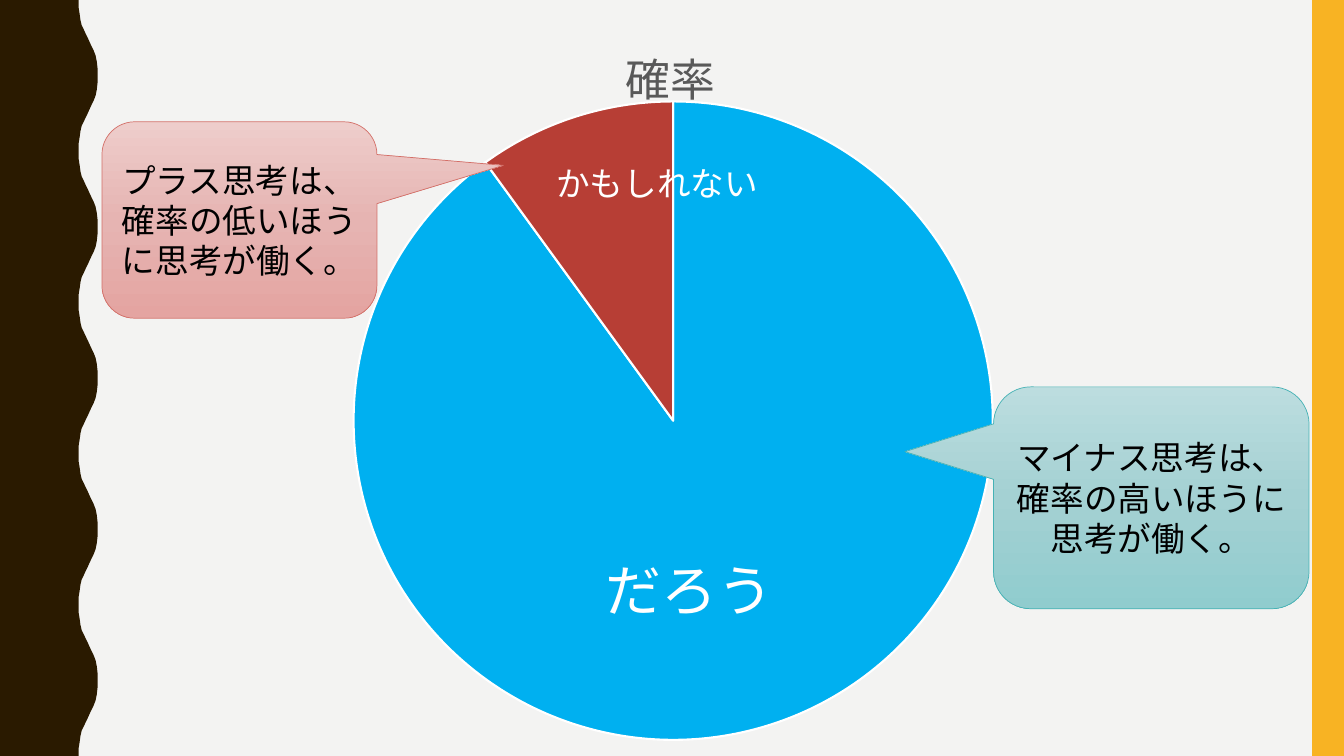
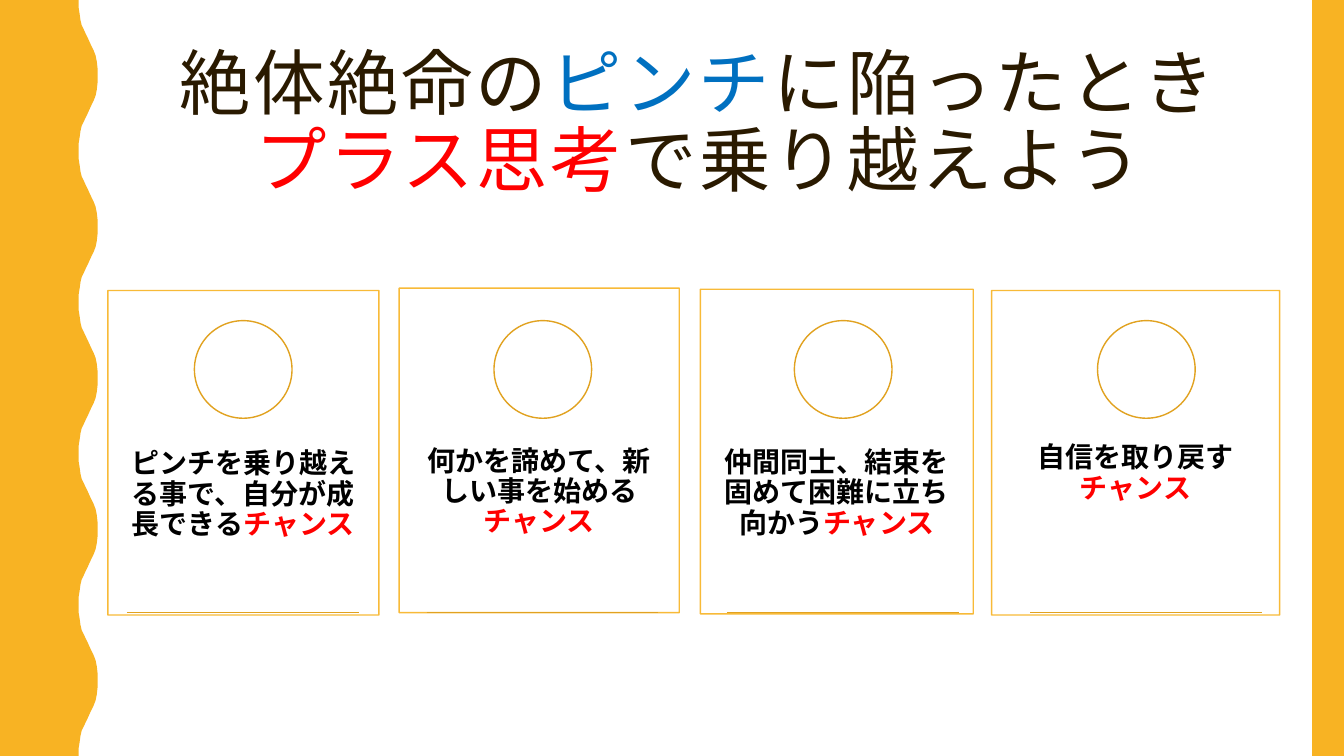
"""Build two slides on positive thinking: a probability pie and four chances."""
from copy import deepcopy
from dataclasses import dataclass

from lxml.etree import SubElement
from pptx import Presentation
from pptx.chart.data import CategoryChartData
from pptx.dml.color import RGBColor
from pptx.enum.chart import XL_CHART_TYPE as ChartType, XL_LABEL_POSITION as LabelPosition
from pptx.enum.shapes import MSO_CONNECTOR as Connector, MSO_SHAPE as Shape
from pptx.enum.text import MSO_ANCHOR as Anchor, PP_ALIGN as Align
from pptx.oxml import parse_xml
from pptx.oxml.ns import nsdecls, qn
from pptx.util import Cm, Pt

rgb = RGBColor.from_string


@dataclass(frozen=True)
class Theme:
    heading_font: str = "Arial Narrow"
    body_font: str = "Cabin"
    brown: RGBColor = rgb("2A1A00")
    amber: RGBColor = rgb("F8B323")
    ochre: RGBColor = rgb("E1A220")
    paper: RGBColor = rgb("F3F3F2")
    white: RGBColor = rgb("FFFFFF")
    black: RGBColor = rgb("000000")
    gray: RGBColor = rgb("595959")
    sky: RGBColor = rgb("00B0F0")
    brick: RGBColor = rgb("B73E35")
    blue: RGBColor = rgb("0070C0")
    red: RGBColor = rgb("FF0000")
    teal_line: RGBColor = rgb("46B2B5")
    teal_fade: tuple = (rgb("BCDDDF"), rgb("A4D1D3"), rgb("90CCCE"))
    rose_line: RGBColor = rgb("D36F68")
    rose_fade: tuple = (rgb("EECDCB"), rgb("E6B4B2"), rgb("E4A4A1"))
    heading: Pt = Pt(51)
    likely: Pt = Pt(40)
    chart_title: Pt = Pt(32)
    callout: Pt = Pt(24)
    card: Pt = Pt(20)


theme = Theme()


def write(paragraph, pieces, size, font, bold=False, tracking=0):
    """Add coloured runs to a centred paragraph."""
    paragraph.alignment = Align.CENTER
    for words, colour in pieces:
        if words == "\n":
            paragraph.add_line_break()
            continue
        run = paragraph.add_run()
        run.text = words
        run.font.size, run.font.name, run.font.bold = size, font, bold
        run.font.color.rgb = colour
        properties = run._r.get_or_add_rPr()
        properties.set("lang", "ja-JP")
        properties.set("spc", str(tracking))


def paint(shape, fill, line=None, weight=1):
    """Give a shape a flat fill and an optional outline, without shadow."""
    shape.shadow.inherit = False
    shape.fill.solid()
    shape.fill.fore_color.rgb = fill
    if line is None:
        shape.line.fill.background()
    else:
        shape.line.color.rgb = line
        shape.line.width = Pt(weight)


deck = Presentation()
deck.slide_width, deck.slide_height = Cm(33.87), Cm(19.05)
probability = deck.slides.add_slide(deck.slide_layouts[6])
chances = deck.slides.add_slide(deck.slide_layouts[5])

wave_length = 3.81
rise = [(1.98, 0), (1.98, 0.18), (2.01, 0.36), (2.03, 0.51), (2.06, 0.64),
        (2.11, 0.74), (2.16, 0.85), (2.21, 0.95), (2.26, 1.06), (2.31, 1.17),
        (2.36, 1.27), (2.41, 1.4), (2.44, 1.55), (2.46, 1.73), (2.46, 1.9)]
wave = rise + [(x, wave_length - y) for x, y in reversed(rise)]
edge = [(Cm(x), Cm(y + wave_length * turn)) for turn in range(5) for x, y in wave]

for slide, background, band in ((probability, theme.paper, theme.brown),
                                (chances, theme.white, theme.amber)):
    slide.background.fill.solid()
    slide.background.fill.fore_color.rgb = background
    outline = slide.shapes.build_freeform(0, 0)
    outline.add_line_segments(edge + [(0, deck.slide_height)])
    paint(outline.convert_to_shape(), band)
    stripe = slide.shapes.add_shape(Shape.RECTANGLE, Cm(33.07), 0, Cm(0.8), deck.slide_height)
    paint(stripe, theme.amber)

odds = CategoryChartData()
odds.categories = ["だろう", "かもしれない"]
odds.add_series("確率", (90, 10))
pie = probability.shapes.add_chart(
    ChartType.PIE, Cm(2.9), Cm(0.28), Cm(28.02), Cm(18.39), odds).chart
pie.has_legend = False
pie.font.name, pie.font.size = theme.body_font, Pt(10)
pie.has_title = True
write(pie.chart_title.text_frame.paragraphs[0], [("確率", theme.gray)],
      theme.chart_title, theme.body_font)
pie.plots[0].vary_by_categories = True

layout = "<c:layout {}><c:manualLayout>{}</c:manualLayout></c:layout>"
plot_area = pie._chartSpace.chart.plotArea
for old_layout in plot_area.findall(qn("c:layout")):
    plot_area.remove(old_layout)
plot_area.insert(0, parse_xml(layout.format(
    nsdecls("c"),
    '<c:layoutTarget val="inner"/><c:xMode val="edge"/><c:yMode val="edge"/>'
    '<c:x val="0.212"/><c:y val="0.124"/><c:w val="0.58"/><c:h val="0.876"/>')))

slices = (("だろう", theme.sky, theme.likely, -0.03, 0.02),
          ("かもしれない", theme.brick, theme.callout, 0.03, -0.12))
for index, (words, colour, size, shift_x, shift_y) in enumerate(slices):
    portion = pie.plots[0].series[0].points[index]
    portion.format.fill.solid()
    portion.format.fill.fore_color.rgb = colour
    portion.format.line.color.rgb = theme.white
    portion.format.line.width = Pt(1.5)
    label = portion.data_label
    write(label.text_frame.paragraphs[0], [(words, theme.white)], size, theme.body_font)
    label.position = LabelPosition.CENTER
    label._dLbl.insert(1, parse_xml(layout.format(
        nsdecls("c"), f'<c:x val="{shift_x}"/><c:y val="{shift_y}"/>')))

thoughts = (
    ("マイナス思考は、確率の高いほうに思考が働く。", (25.04, 9.75, 7.95, 5.59),
     (-0.781, -0.208, 0.167), theme.teal_fade, theme.teal_line),
    ("プラス思考は、確率の低いほうに思考が働く。", (2.57, 3.07, 6.93, 4.95),
     (0.96, -0.278, 0.167), theme.rose_fade, theme.rose_line))
for words, place, pointer, fade, line in thoughts:
    thought = probability.shapes.add_shape(
        Shape.ROUNDED_RECTANGULAR_CALLOUT, *(Cm(length) for length in place))
    for position, value in enumerate(pointer):
        thought.adjustments[position] = value
    paint(thought, fade[0], line, 0.5)
    thought.fill.gradient()
    thought.fill.gradient_angle = 270
    stops = next(thought._element.iter(qn("a:gsLst")))
    stops.insert(1, deepcopy(stops[0]))
    for stop, colour, position in zip(thought.fill.gradient_stops, fade, (0, 0.5, 1)):
        stop.color.rgb, stop.position = colour, position
    thought.text_frame.word_wrap = True
    thought.text_frame.vertical_anchor = Anchor.MIDDLE
    write(thought.text_frame.paragraphs[0], [(words, theme.black)],
          theme.callout, theme.body_font)

heading = chances.shapes.title
heading.left, heading.top, heading.width, heading.height = Cm(3.48), Cm(1.07), Cm(28.27), Cm(4.14)
heading.text_frame.word_wrap = True
heading.text_frame.vertical_anchor = Anchor.MIDDLE
heading.text_frame.paragraphs[0].line_spacing = 0.9
write(heading.text_frame.paragraphs[0],
      [("絶体絶命の", theme.brown), ("ピンチ", theme.blue), ("に陥ったとき", theme.brown),
       ("\n", None), ("プラス思考", theme.red), ("で乗り越えよう", theme.brown)],
      theme.heading, theme.heading_font, tracking=200)

cards = (("ピンチを乗り越える事で、自分が成長できる", 2.72, 7.32, 6.83, 4.9),
         ("何かを諦めて、新しい事を始める", 10.06, 7.26, 7.06, 12.45),
         ("仲間同士、結束を固めて困難に立ち向かう", 17.65, 7.29, 6.88, 20.02),
         ("自信を取り戻す", 24.99, 7.32, 7.26, 27.66))
for words, left, top, width, ring_left in cards:
    card = chances.shapes.add_group_shape().shapes
    panel = card.add_shape(Shape.RECTANGLE, Cm(left), Cm(top), Cm(width), Cm(8.18))
    paint(panel, theme.white, theme.amber)
    for colour in panel._element.spPr.iter(qn("a:srgbClr")):
        SubElement(colour, qn("a:alpha"), val="90000")

    chance = card.add_textbox(Cm(left), Cm(top + 3.1), Cm(width), Cm(4.9)).text_frame
    chance.word_wrap = True
    chance.margin_left = chance.margin_right = Cm(0.46)
    chance.margin_top = chance.margin_bottom = Cm(0.91)
    chance.paragraphs[0].line_spacing = 0.9
    write(chance.paragraphs[0], [(words, theme.black), ("チャンス", theme.red)],
          theme.card, theme.body_font, bold=True)

    ring = card.add_shape(Shape.OVAL, Cm(ring_left), Cm(8.08), Cm(2.46), Cm(2.46))
    paint(ring, theme.white, theme.ochre)

    rule_left = ring_left - 1.7
    rule = card.add_connector(Connector.STRAIGHT, Cm(rule_left), Cm(15.44),
                              Cm(rule_left + 5.84), Cm(15.44))
    rule.line.color.rgb, rule.line.width = theme.ochre, Pt(1)
    SubElement(rule._element.spPr, qn("a:effectLst"))

deck.save("out.pptx")
